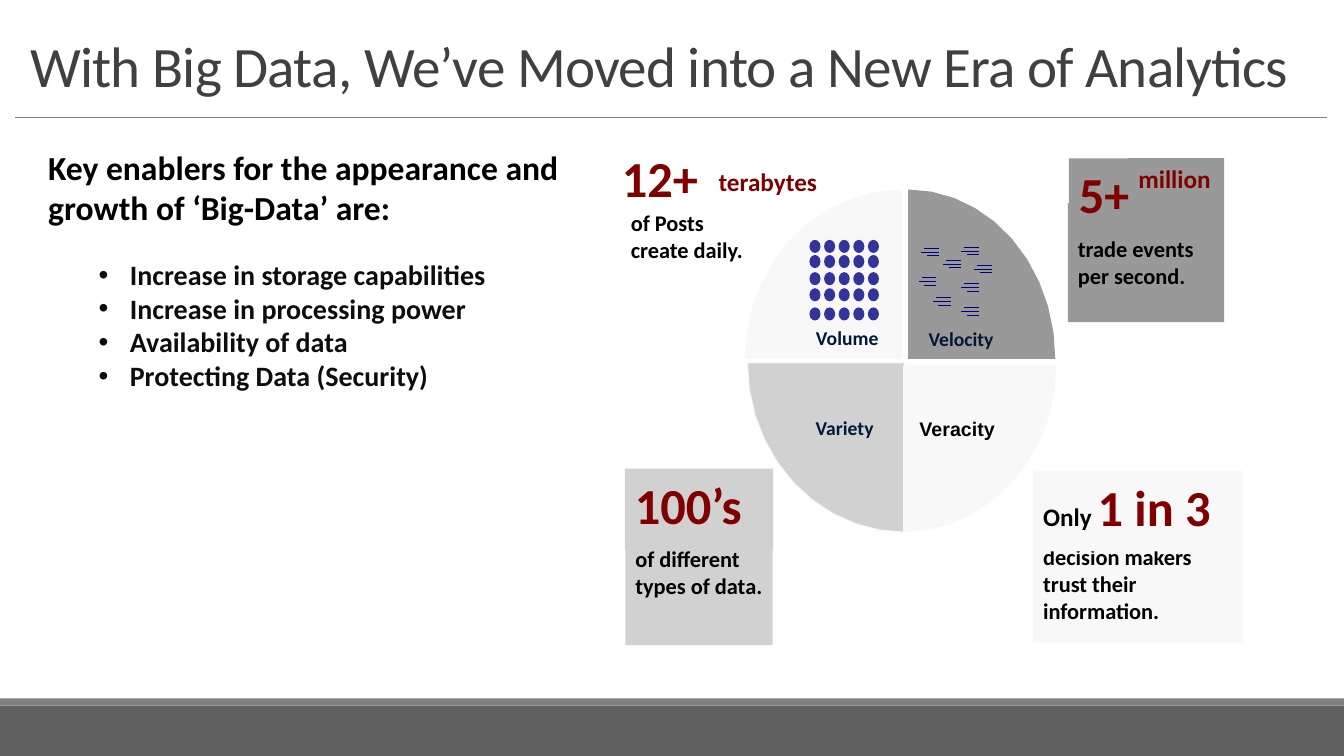
from math import cos, pi, sin

from lxml import etree
from pptx import Presentation
from pptx.dml.color import RGBColor
from pptx.enum.shapes import MSO_CONNECTOR, MSO_SHAPE
from pptx.enum.text import MSO_ANCHOR, PP_ALIGN
from pptx.oxml.ns import qn
from pptx.util import Inches, Pt

RECT, OVAL = MSO_SHAPE.RECTANGLE, MSO_SHAPE.OVAL
STRAIGHT = MSO_CONNECTOR.STRAIGHT
TOP, BOTTOM = MSO_ANCHOR.TOP, MSO_ANCHOR.BOTTOM
LEFT, CENTER = PP_ALIGN.LEFT, PP_ALIGN.CENTER

CELL = 0.1  # grid column and row, in inches
COLORS = {
    "footer": "606060", "rule": "808080", "title": "404040", "bullet": "0D0D0D",
    "black": "000000", "figure": "800000", "label": "001934", "dot": "333399",
    "streak": "000080", "pale": "F8F8F8", "light": "D1D1D1", "mid": "999999",
}
STYLES = {  # size, colour, bold, font
    "title": (40.8, "title", False, "Calibri"),
    "lead": (24, "black", True, "Calibri"),
    "bullet": (20, "bullet", True, "Calibri"),
    "figure": (36, "figure", True, "Calibri"),
    "unit": (18, "figure", True, "Calibri"),
    "only": (18, "black", True, "Calibri"),
    "note": (16, "black", True, "Calibri"),
    "label": (14, "label", True, "Calibri"),
    "plain label": (14, "black", True, "Arial"),
}
LABEL_FORMAT = {"align": CENTER, "spacing": 0.8, "wrap": False, "insets": (0, 0, 0.4, 0)}


def cells(count):
    return Inches(count * CELL)


def color(name):
    return RGBColor.from_string(COLORS[name])


class GridSlide:
    """Draws on one slide; every length is a number of grid cells."""

    def __init__(self, slide):
        self.shapes = slide.shapes

    def finish(self, shape, fill, outline=None):
        shape.shadow.inherit = False
        shape.fill.solid()
        shape.fill.fore_color.rgb = color(fill)
        if outline:
            shape.line.color.rgb = color(outline)
            shape.line.width = Pt(0.75)
        else:
            shape.line.fill.background()

    def block(self, kind, at, fill):
        shape = self.shapes.add_shape(kind, *map(cells, at))
        self.finish(shape, fill)
        return shape

    def line(self, start, end, stroke, width):
        rule = self.shapes.add_connector(STRAIGHT, *map(cells, start + end))
        rule.line.color.rgb = color(stroke)
        rule.line.width = Pt(width)
        etree.SubElement(rule.element.spPr, qn("a:effectLst"))

    def quadrant(self, corner, radii, signs, fill, outline=None, steps=10):
        """Quarter ellipse whose right angle sits at corner."""
        x, y = corner
        angles = [pi / 2 * step / steps for step in range(steps + 1)]
        arc = [(cells(x + signs[0] * radii[0] * cos(a)),
                cells(y + signs[1] * radii[1] * sin(a))) for a in angles]
        builder = self.shapes.build_freeform(cells(x), cells(y))
        builder.add_line_segments(arc, close=True)
        self.finish(builder.convert_to_shape(), fill, outline)

    def text(self, at, paragraphs, fill=None, wrap=True, anchor=TOP,
             insets=(1, 0.5, 1, 0.5), align=LEFT, spacing=None):
        """Each paragraph is a list of (words, style) runs."""
        if fill:
            box = self.block(RECT, at, fill)
        else:
            box = self.shapes.add_textbox(*map(cells, at))
        left, top, right, bottom = map(cells, insets)
        frame = box.text_frame
        frame_format = {"word_wrap": wrap, "vertical_anchor": anchor,
                        "margin_left": left, "margin_top": top,
                        "margin_right": right, "margin_bottom": bottom}
        for name, value in frame_format.items():
            setattr(frame, name, value)
        for index, runs in enumerate(paragraphs):
            paragraph = frame.paragraphs[0] if index == 0 else frame.add_paragraph()
            paragraph.alignment = align
            paragraph.line_spacing = spacing
            for words, style in runs:
                self.run(paragraph, words, style)
        return frame

    def run(self, paragraph, words, style):
        size, ink, bold, face = STYLES[style]
        for index, words_in_line in enumerate(words.split("\n")):
            if index:
                paragraph.add_line_break()
            run = paragraph.add_run()
            run.text = words_in_line
            for name, value in {"size": Pt(size), "bold": bold, "name": face}.items():
                setattr(run.font, name, value)
            run.font.color.rgb = color(ink)

    def bullet(self, paragraph, indent, hanging):
        properties = paragraph._p.get_or_add_pPr()
        properties.set("marL", str(cells(indent)))
        properties.set("indent", str(-cells(hanging)))
        etree.SubElement(properties, qn("a:buFont"), typeface="Arial")
        etree.SubElement(properties, qn("a:buChar"), char="•")


def draw_frame(page):
    page.block(RECT, (0, 70, 133.33, 5), "footer")
    page.block(RECT, (0, 69.3, 133.33, 0.7), "rule")
    page.line((1.5, 11.6), (131.6, 11.6), "rule", 0.5)
    title = page.text((2, 1.5, 129.3, 8.7),
                      [[("With Big Data, We’ve Moved into a New Era of Analytics", "title")]],
                      anchor=BOTTOM, spacing=0.75)
    title.paragraphs[0].runs[0].font._element.set("spc", "-50")


def draw_enablers(page):
    enablers = ["Increase in storage capabilities", "Increase in processing power",
                "Availability of data", "Protecting Data (Security)"]
    lead = "Key enablers for the appearance and growth of ‘Big-Data’ are:"
    frame = page.text((3.8, 14.1, 58.4, 25.6),
                      [[(lead, "lead")]] + [[(item, "bullet")] for item in enablers])
    for paragraph in frame.paragraphs[1:]:
        page.bullet(paragraph, 8.1, 3.1)
    frame.paragraphs[1].space_before = Pt(21.5)


def draw_volume(page):
    page.quadrant((89.5, 35.6), (15.6, 16.8), (-1, -1), "pale")
    for top in (23.8, 25.3, 27, 28.6, 30.5):
        for column in range(5):
            page.block(OVAL, (80.3 + 1.45 * column, top, 1.1, 1.3), "dot")
    page.text((80.5, 32.8, 7.5, 2.1), [[("Volume", "label")]], **LABEL_FORMAT)
    page.text((61.6, 20.25, 29.3, 7.3), [[("of Posts\ncreate daily.", "note")]])
    page.text((60.7, 14.1, 10.7, 8.1), [[("12+", "figure")]], wrap=False)
    page.text((70.3, 16, 13.1, 4.6), [[("terabytes", "unit")]], wrap=False)


def draw_variety(page):
    page.quadrant((89.75, 36), (15.6, 16.8), (-1, 1), "light", "pale")
    page.text((80.5, 41.7, 7, 2.1), [[("Variety", "label")]], "light", **LABEL_FORMAT)
    page.text((62.05, 53.6, 14.6, 10.4),
              [[("of different", "note")], [("types of data.", "note")]], "light")
    page.text((62, 46.5, 14.7, 8.1), [[("100’s", "figure")]], "light")


def draw_veracity(page):
    page.quadrant((89.6, 36.2), (15.2, 16.6), (1, 1), "pale")
    page.text((90.75, 41.8, 8.8, 2.1), [[("Veracity", "plain label")]], "pale", **LABEL_FORMAT)
    page.text((102.5, 53.4, 20.8, 10.4),
              [[("decision makers trust their information.", "note")]], "pale")
    page.text((102.5, 46.7, 20.8, 8), [[("Only ", "only"), ("1 in 3", "figure")]], "pale")


def draw_velocity(page):
    page.quadrant((90.1, 35.6), (14.6, 16.8), (1, -1), "mid")
    streak_heads = [(95.3, 25.8), (93.15, 24.6), (97.1, 28.1), (97.1, 30.5),
                    (94.3, 29.5), (92.9, 27.5), (98.4, 26.3), (97.1, 24.5)]
    for x, y in streak_heads:
        for drop, length in ((0, 1.45), (0.4, 1.75), (0.75, 1.2)):
            page.line((x, y + drop), (x - length, y + drop), "streak", 0.25)
    page.text((105.95, 20.15, 15.5, 11.8), [[("trade events\nper second.", "note")]],
              "mid", insets=(1, 3.2, 1, 0.5))
    page.text((106.05, 15.7, 7.3, 8.1), [[("5+", "figure")]], "mid", wrap=False)
    page.text((111.95, 15.7, 9.5, 4.6), [[("million", "unit")]], "mid", wrap=False)
    page.text((91.9, 32.9, 7.3, 2.1), [[("Velocity", "label")]], "mid", **LABEL_FORMAT)


def main():
    deck = Presentation()
    deck.slide_width, deck.slide_height = cells(133.33), cells(75)
    page = GridSlide(deck.slides.add_slide(deck.slide_layouts[6]))
    for draw in (draw_frame, draw_volume, draw_variety, draw_veracity,
                 draw_velocity, draw_enablers):
        draw(page)
    deck.save("out.pptx")


if __name__ == "__main__":
    main()
